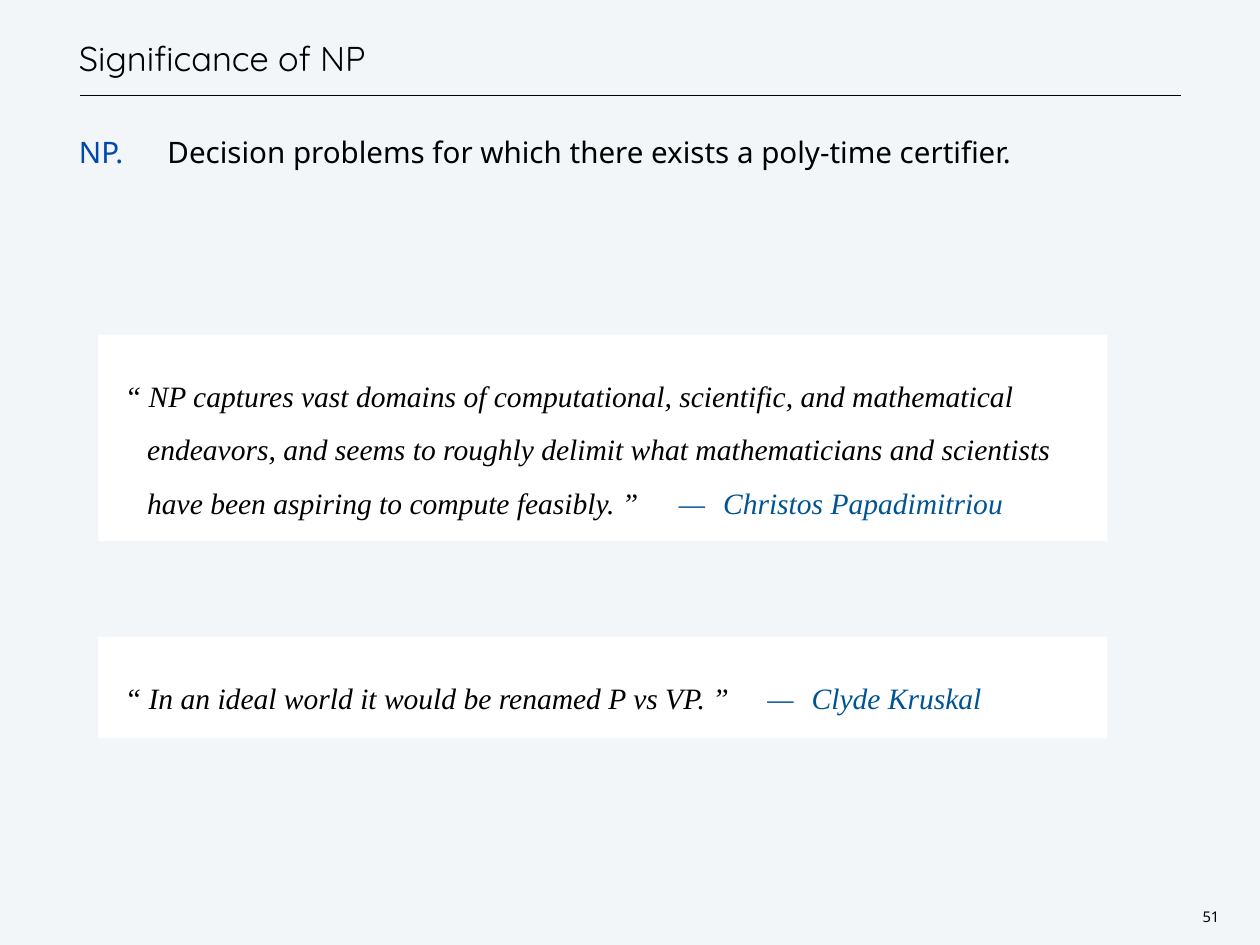
from lxml import etree
from pptx import Presentation
from pptx.dml.color import RGBColor
from pptx.enum import shapes, text
from pptx.oxml import ns
from pptx.util import Cm, Pt

# Content
TITLE = "Significance of NP"
TERM = "NP."
DEFINITION = "Decision problems for which there exists a poly-time certifier."
PAGE = "51"
QUOTES = [  # words, speaker, top, height, dash position (cm)
    ("“ NP captures vast domains of computational, scientific, and mathematical\v"
     "endeavors, and seems to roughly delimit what mathematicians and scientists\v"
     "have been aspiring to compute feasibly. ”",
     "Christos Papadimitriou", 9.6, 5.92, 15.8),
    ("“ In an ideal world it would be renamed P vs VP. ”",
     "Clyde Kruskal", 18.26, 2.92, 18.4),
]

BACKGROUND = RGBColor(0xF2, 0xF6, 0xF9)
BLACK = RGBColor(0, 0, 0)
WHITE = RGBColor(0xFF, 0xFF, 0xFF)
TERM_BLUE = RGBColor(0x00, 0x48, 0xAA)
SPEAKER_BLUE = RGBColor(0x00, 0x54, 0x93)

LEFT, WIDTH = 2.26, 31.6
DASH_TO_NAME = 1.38


def place(part, left, top, width, height):
    part.left, part.top = Cm(left), Cm(top)
    part.width, part.height = Cm(width), Cm(height)


def set_frame(frame, inset, anchor=text.MSO_ANCHOR.TOP, wrap=True):
    frame.margin_left = frame.margin_right = Cm(inset)
    frame.margin_top = frame.margin_bottom = Cm(inset)
    frame.vertical_anchor = anchor
    frame.word_wrap = wrap
    frame.auto_size = text.MSO_AUTO_SIZE.NONE
    return frame.paragraphs[0]


def set_paragraph(paragraph, font, size, spacing, align=text.PP_ALIGN.LEFT,
                  margin=0, indent=0, tabs=()):
    paragraph.alignment = align
    paragraph.line_spacing = spacing
    paragraph.space_before = Pt(0)
    props = paragraph._p.get_or_add_pPr()
    props.set("marL", str(Cm(margin)))
    props.set("indent", str(Cm(indent)))
    etree.SubElement(props, ns.qn("a:buNone"))
    if tabs:
        stops = etree.SubElement(props, ns.qn("a:tabLst"))
        for stop in tabs:
            etree.SubElement(stops, ns.qn("a:tab"), pos=str(Cm(stop)), algn="l")
    paragraph.font.name = font
    paragraph.font.size = Pt(size)
    paragraph.font.color.rgb = BLACK


def add_words(paragraph, words, color=None):
    for number, line in enumerate(words.split("\v")):
        if number:
            paragraph.add_line_break()
        run = paragraph.add_run()
        run.text = line
        if color is not None:
            run.font.color.rgb = color


deck = Presentation()
deck.slide_width, deck.slide_height = Cm(36.12), Cm(27.1)
slide = deck.slides.add_slide(deck.slide_layouts[1])
slide.background.fill.solid()
slide.background.fill.fore_color.rgb = BACKGROUND

# Title and rule
title = slide.shapes.title
place(title, LEFT, 0, WIDTH, 2.26)
heading = set_frame(title.text_frame, 0, text.MSO_ANCHOR.BOTTOM)
set_paragraph(heading, "Quicksand", 28, Pt(38))
add_words(heading, TITLE)

rule = slide.shapes.add_connector(shapes.MSO_CONNECTOR.STRAIGHT,
                                  Cm(2.29), Cm(2.74), Cm(33.86), Cm(2.74))
rule.line.color.rgb = BLACK
rule.line.width = Pt(1)
etree.SubElement(rule._element.spPr, ns.qn("a:effectLst"))

# Definition
body = slide.placeholders[1]
place(body, LEFT, 3.53, WIDTH, 22.71)
definition = set_frame(body.text_frame, 0)
set_paragraph(definition, "Noto Sans", 24, Pt(38), tabs=[1.68])
add_words(definition, TERM, TERM_BLUE)
add_words(definition, "\t" + DEFINITION)

# Quotes
for words, speaker, top, height, dash in QUOTES:
    panel = slide.shapes.add_shape(shapes.MSO_SHAPE.RECTANGLE,
                                   Cm(2.82), Cm(top), Cm(28.93), Cm(height))
    panel.shadow.inherit = False
    panel.fill.solid()
    panel.fill.fore_color.rgb = WHITE
    panel.line.fill.background()
    quote = set_frame(panel.text_frame, 0.74)
    set_paragraph(quote, "Times New Roman", 24, 1.5, margin=0.66, indent=-0.64,
                  tabs=[dash, dash + DASH_TO_NAME])
    quote.font.italic = True
    add_words(quote, words)
    add_words(quote, f"\t—\t{speaker}", SPEAKER_BLUE)

# Page number
page = slide.shapes.add_textbox(Cm(34.32), Cm(25.96), Cm(0.79), Cm(0.61))
number = set_frame(page.text_frame, 0.1, wrap=False)
set_paragraph(number, "Noto Sans", 12, Pt(14), text.PP_ALIGN.CENTER)
add_words(number, PAGE)

deck.save("out.pptx")
